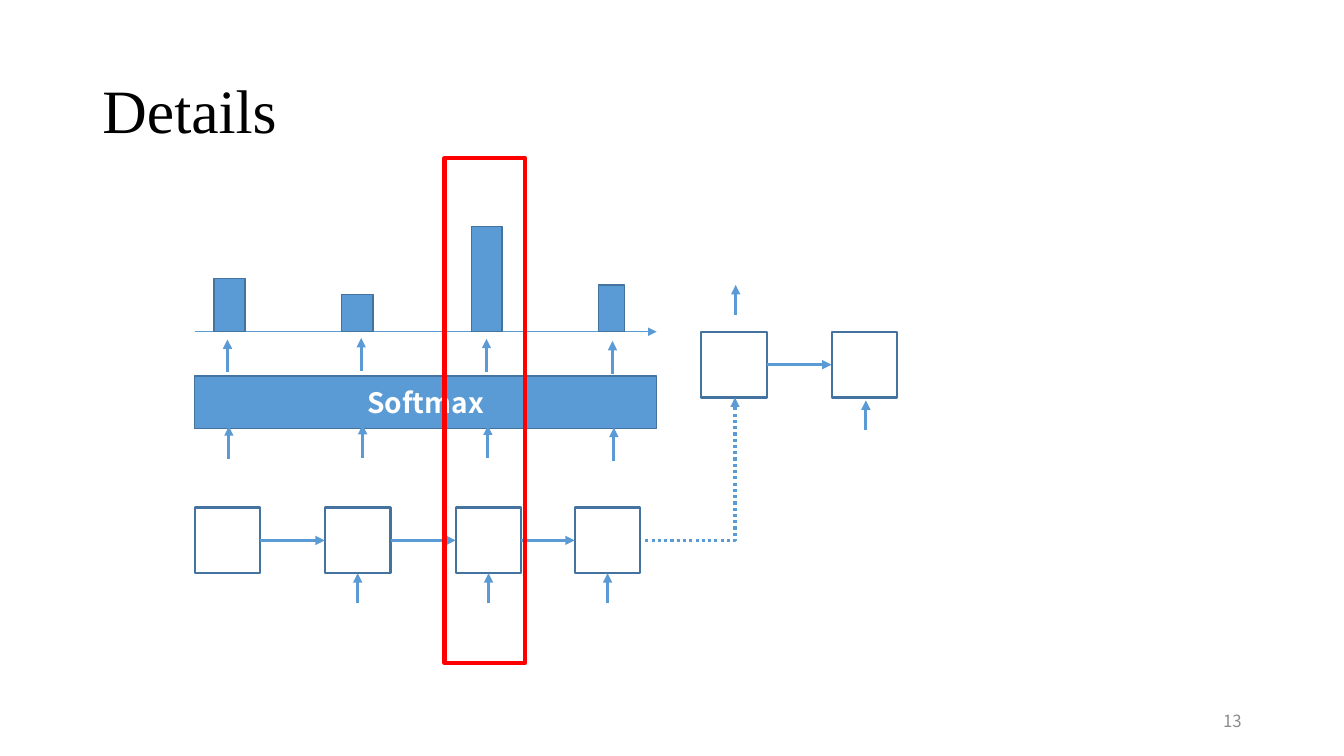
import pptx
import pptx.util
import pptx.dml.color
import pptx.enum.shapes
import pptx.enum.text
import pptx.oxml.ns
import lxml.etree

Pt = pptx.util.Pt
RGBColor = pptx.dml.color.RGBColor
Align = pptx.enum.text.PP_ALIGN
Anchor = pptx.enum.text.MSO_ANCHOR
Link = pptx.enum.shapes.MSO_CONNECTOR
qn = pptx.oxml.ns.qn

BLUE = RGBColor(0x5B, 0x9B, 0xD5)
EDGE = RGBColor(0x43, 0x73, 0x9E)
RED = RGBColor(0xFF, 0x00, 0x00)
WHITE = RGBColor(0xFF, 0xFF, 0xFF)
BLACK = RGBColor(0x00, 0x00, 0x00)
GREY = RGBColor(0x8C, 0x8C, 0x8C)
SANS = "Noto Sans CJK SC"
SERIF = "Times New Roman"
CELL = 47


def style(shape, text, font, size, color, align, bold=False):
    frame = shape.text_frame
    frame.word_wrap = True
    frame.vertical_anchor = Anchor.MIDDLE
    frame.text = text
    par = frame.paragraphs[0]
    par.alignment = align
    for run in par.runs:
        run.font.name = font
        run.font.size = Pt(size)
        run.font.bold = bold
        run.font.color.rgb = color
        face = lxml.etree.SubElement(run.font._element, qn("a:ea"))
        face.set("typeface", font)
    return par


def rect(slide, left, top, width, height, fill=None, edge=EDGE, weight=1):
    kind = pptx.enum.shapes.MSO_SHAPE.RECTANGLE
    shape = slide.shapes.add_shape(kind, Pt(left), Pt(top), Pt(width), Pt(height))
    shape.shadow.inherit = False
    if fill is None:
        shape.fill.background()
    else:
        shape.fill.solid()
        shape.fill.fore_color.rgb = fill
    shape.line.color.rgb = edge
    shape.line.width = Pt(weight)
    return shape


def arrow(slide, x1, y1, x2, y2, weight=2.25, kind=Link.STRAIGHT):
    link = slide.shapes.add_connector(kind, Pt(x1), Pt(y1), Pt(x2), Pt(y2))
    link.line.color.rgb = BLUE
    link.line.width = Pt(weight)
    tail = lxml.etree.SubElement(link.line._get_or_add_ln(), qn("a:tailEnd"))
    tail.set("type", "triangle")
    lxml.etree.SubElement(link._element.spPr, qn("a:effectLst"))
    return link


def turn(slide, x1, y1, x2, y2):
    """Draw a dotted arrow that runs across, then up."""
    link = arrow(slide, x1, y1, x2, y2, kind=Link.ELBOW)
    link._element.spPr.find(qn("a:prstGeom")).set("prst", "bentConnector2")
    link.line.dash_style = pptx.enum.dml.MSO_LINE.ROUND_DOT


def chain(slide, left, top, steps):
    """Draw a row of cells at the given steps, joined by arrows."""
    mid = top + CELL / 2
    for step in steps:
        rect(slide, left + step, top, CELL, CELL, weight=1.5)
    for start, end in zip(steps, steps[1:]):
        arrow(slide, left + start + CELL, mid, left + end, mid)


def encoder(slide, left, top):
    steps = [0, 93, 186.5, 271.5]
    chain(slide, left, top, steps)
    for step in steps[1:]:
        x = left + step + CELL / 2
        arrow(slide, x, top + CELL + 21.5, x, top + CELL)


def decoder(slide, left, top):
    chain(slide, left, top, [0, 93])
    arrow(slide, left + 24.5, top - 12, left + 24.5, top - 33.5)
    arrow(slide, left + 117.5, top + 70.5, left + 117.5, top + 49)


def softmax(slide, left, top, width, height):
    bar = rect(slide, left, top, width, height, BLUE)
    style(bar, "Softmax", SANS, 20, WHITE, Align.CENTER, True)
    for x, y in [(24.5, 0), (120, -1), (209.5, -0.5), (299.5, 1)]:
        for dx, base in [(0, height + 22), (-1, -2.5)]:
            foot = top + base + y
            arrow(slide, left + x + dx, foot, left + x + dx, foot - 23.5)


def bars(slide, left, base, width):
    arrow(slide, left, base, left + width, base, 0.5)
    for x, wide, high in [(14, 22, 38), (105, 22.5, 26.5),
                          (198, 21.5, 75), (288.5, 18.5, 33.5)]:
        rect(slide, left + x, base - high, wide, high, BLUE)


def heading(slide, left, top, width, height):
    title = slide.shapes.title
    title.left, title.top = Pt(left), Pt(top)
    title.width, title.height = Pt(width), Pt(height)
    par = style(title, "Details", SERIF, 44, BLACK, Align.LEFT)
    par.line_spacing = 0.9


def number(slide, left, top, width, height):
    box = slide.shapes.add_textbox(Pt(left), Pt(top), Pt(width), Pt(height))
    style(box, "13", SANS, 12, GREY, Align.RIGHT)


def main():
    deck = pptx.Presentation()
    deck.slide_width, deck.slide_height = Pt(960), Pt(540)
    slide = deck.slides.add_slide(deck.slide_layouts[5])
    heading(slide, 66, 29, 828, 104.5)
    encoder(slide, 139, 362.5)
    decoder(slide, 501, 237)
    turn(slide, 461, 386, 525, 284)
    softmax(slide, 139, 268.5, 330, 37.5)
    bars(slide, 139, 237, 330)
    rect(slide, 317.5, 113, 57.5, 360.5, edge=RED, weight=3)
    number(slide, 678, 500.5, 216, 29)
    deck.save("out.pptx")


if __name__ == "__main__":
    main()
